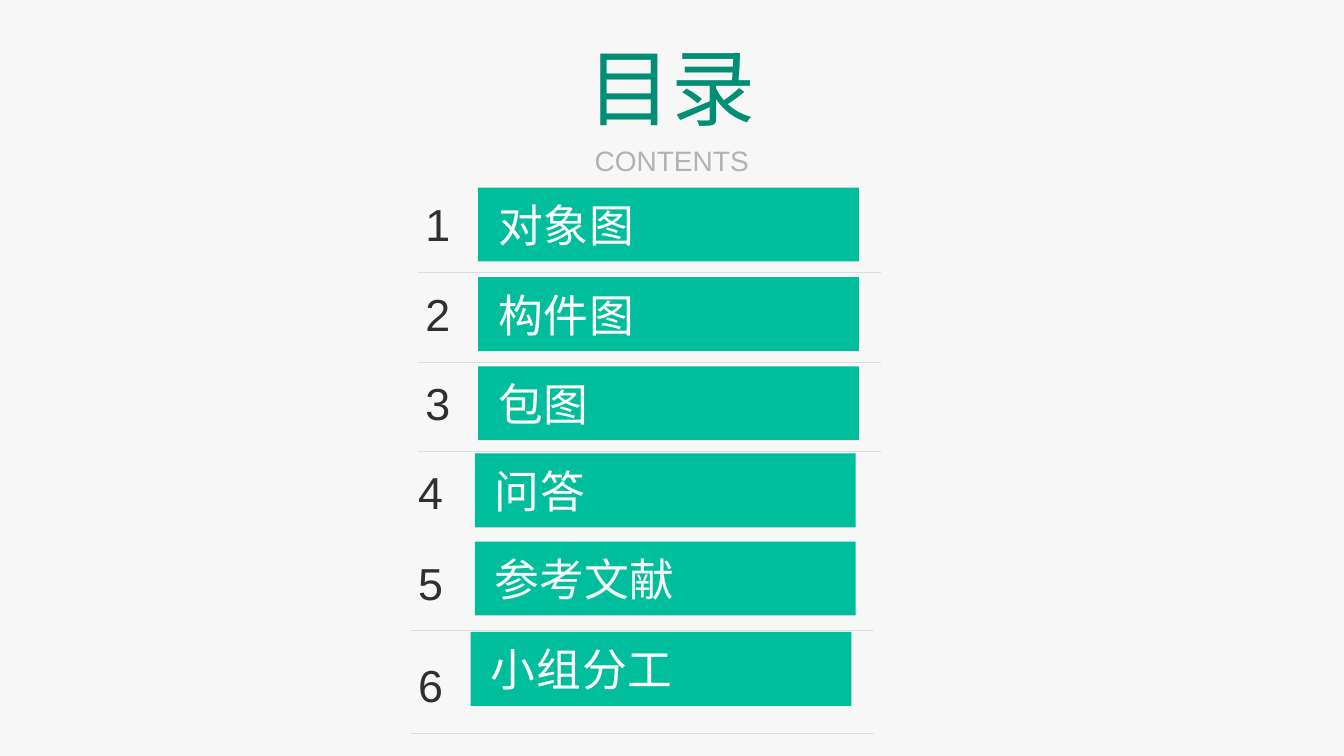
from lxml import etree
from pptx import Presentation
from pptx.dml.color import RGBColor
from pptx.enum.shapes import MSO_CONNECTOR as Connector, MSO_SHAPE as Preset
from pptx.enum.text import MSO_ANCHOR as Anchor, MSO_AUTO_SIZE as AutoSize, PP_ALIGN as Align
from pptx.oxml.ns import qn
from pptx.util import Pt

COLORS = {
    "background": "F7F7F7",
    "title": "008E75",
    "subtitle": "B2B2B2",
    "bar": "00BE9C",
    "number": "2F2F2F",
    "topic": "FFFFFF",
    "rule": "DDDDDD",
}
TITLE = "目录"
SUBTITLE = "CONTENTS"

# topic, column left, bar left, bar top, number top, rule top, colour, spacing
ENTRIES = [
    ("对象图", 286.5, 341.5, 134, 131.8, 194.6, "topic", 60),
    ("构件图", 286.5, 341.5, 198, 196.3, 258.7, "topic", 60),
    ("包图", 286.5, 341.5, 261.6, 259.9, 322.1, "topic", 60),
    ("问答", 281.3, 339.2, 323.9, 323.3, None, "topic", 60),
    ("参考文献", 281.3, 339.2, 386.8, 388.2, 450.5, "background", 0),
    ("小组分工", 281.3, 336.2, 451.4, 461.3, 523.8, "topic", 60),
]
NUMBER_SIZE = (52.6, 60.5)
BAR_SIZE = (272, 52.8)
RULE_INSET, RULE_WIDTH = 12, 331
HEADING_LEFT, HEADING_WIDTH = 343.4, 272.9


def rgb(name):
    return RGBColor.from_string(COLORS[name])


def place(shape, left, top, width, height):
    shape.left, shape.top, shape.width, shape.height = map(Pt, (left, top, width, height))


def write(shape, text, size, color, align=Align.CENTER, inset=0, line_spacing=1.0, spacing=0):
    frame = shape.text_frame
    frame.text = text
    frame.word_wrap = True
    frame.auto_size = AutoSize.NONE
    frame.vertical_anchor = Anchor.MIDDLE
    frame.margin_left = Pt(inset)
    frame.margin_top = frame.margin_right = frame.margin_bottom = 0
    paragraph = frame.paragraphs[0]
    paragraph.alignment = align
    paragraph.line_spacing = line_spacing
    paragraph.space_before = Pt(0)
    font = paragraph.runs[0].font
    font.name, font.size, font.color.rgb = "Arial", Pt(size), rgb(color)
    if spacing:
        paragraph.runs[0]._r.get_or_add_rPr().set("spc", str(spacing))


def add_rule(shapes, left, top):
    rule = shapes.add_connector(
        Connector.STRAIGHT, Pt(left), Pt(top), Pt(left + RULE_WIDTH), Pt(top))
    rule.line.color.rgb = rgb("rule")
    rule.line.width = Pt(0.25)
    etree.SubElement(rule._element.spPr, qn("a:effectLst"))


def add_entry(shapes, number, entry):
    topic, column_left, bar_left, bar_top, number_top, rule_top, color, spacing = entry
    number_box = shapes.add_textbox(0, 0, 0, 0)
    place(number_box, column_left, number_top, *NUMBER_SIZE)
    write(number_box, str(number), 32, "number", line_spacing=0.9)

    bar = shapes.add_shape(Preset.RECTANGLE, 0, 0, 0, 0)
    place(bar, bar_left, bar_top, *BAR_SIZE)
    bar.shadow.inherit = False
    bar.fill.solid()
    bar.fill.fore_color.rgb = rgb("bar")
    bar.line.fill.background()
    write(bar, topic, 32, color, Align.LEFT, inset=14.4, spacing=spacing)

    if rule_top is not None:
        add_rule(shapes, column_left + RULE_INSET, rule_top)


def main():
    deck = Presentation()
    deck.slide_width, deck.slide_height = Pt(960), Pt(540)
    slide = deck.slides.add_slide(deck.slide_layouts[0])
    slide.background.fill.solid()
    slide.background.fill.fore_color.rgb = rgb("background")

    title, subtitle = slide.placeholders
    place(title, HEADING_LEFT, 19.4, HEADING_WIDTH, 83.5)
    write(title, TITLE, 60, "title")
    place(subtitle, HEADING_LEFT, 95.8, HEADING_WIDTH, 37.4)
    write(subtitle, SUBTITLE, 20, "subtitle")

    for number, entry in enumerate(ENTRIES, 1):
        add_entry(slide.shapes, number, entry)
    deck.save("out.pptx")


if __name__ == "__main__":
    main()
